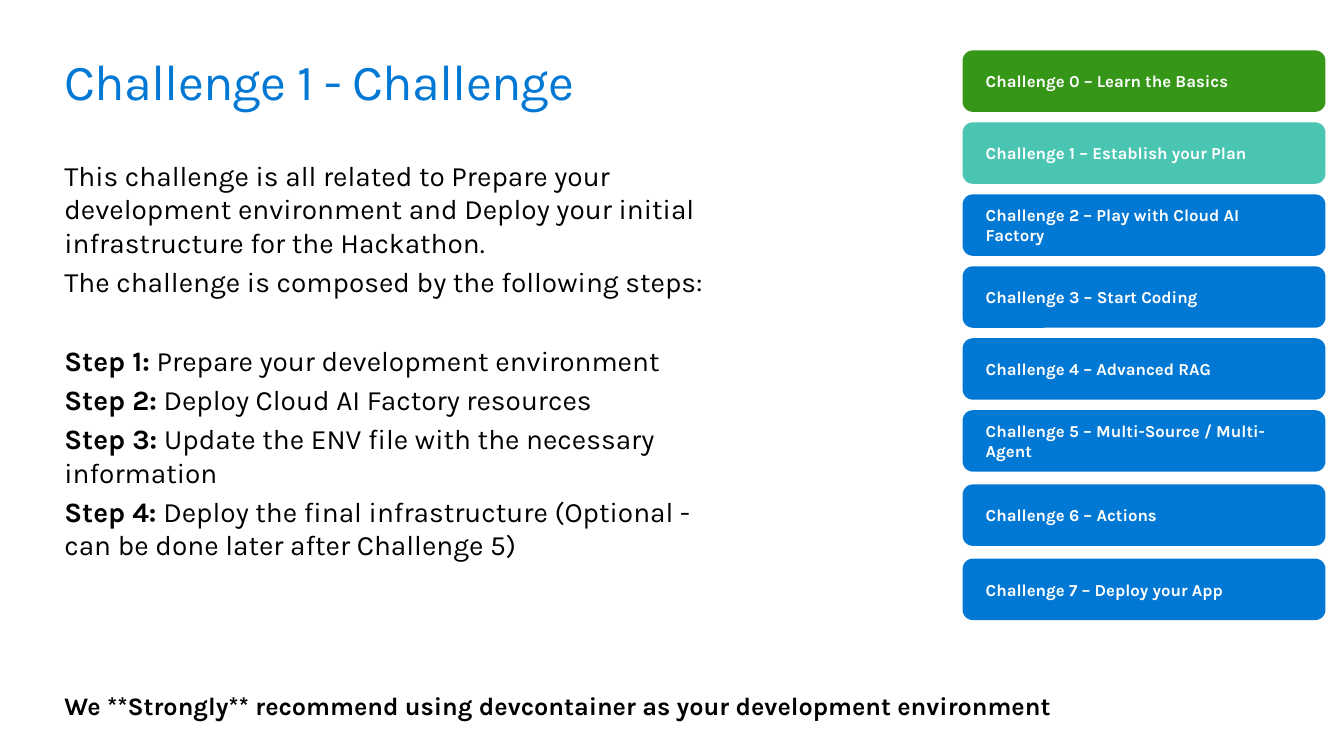
from pptx import Presentation
from pptx.dml.color import RGBColor
from pptx.enum.shapes import MSO_SHAPE
from pptx.enum.text import MSO_ANCHOR, PP_ALIGN
from pptx.util import Pt

ROUND = MSO_SHAPE.ROUNDED_RECTANGLE
MIDDLE, TOP = MSO_ANCHOR.MIDDLE, MSO_ANCHOR.TOP
LEFT = PP_ALIGN.LEFT

COLORS = {
    "blue": "0078D4",
    "green": "359617",
    "teal": "49C5B1",
    "black": "000000",
    "white": "FFFFFF",
}
FACE = "Karla"
GAP = 4  # space between paragraphs
BREAK = 32  # space ahead of the steps

INTRO = [
    "This challenge is all related to Prepare your development environment "
    "and Deploy your initial infrastructure for the Hackathon.",
    "The challenge is composed by the following steps:",
]
STEPS = [
    "Prepare your development environment",
    "Deploy Cloud AI Factory resources",
    "Update the ENV file with the necessary information",
    "Deploy the final infrastructure (Optional - can be done later "
    "after Challenge 5)",
]
STAGES = [
    "Learn the Basics",
    "Establish your Plan",
    "Play with Cloud AI Factory",
    "Start Coding",
    "Advanced RAG",
    "Multi-Source / Multi-Agent",
    "Actions",
    "Deploy your App",
]


def color(name):
    return RGBColor.from_string(COLORS[name])


class Deck:
    def __init__(self):
        self.show = Presentation()
        self.show.slide_width, self.show.slide_height = Pt(960), Pt(540)
        self.slide = self.show.slides.add_slide(self.show.slide_layouts[6])

    def fill(self, frame, paras, size, hue, pad=(0, 0), anchor=TOP, track=0):
        """Fill a frame; each paragraph is (space before, [(text, bold)])."""
        side, edge = (Pt(n) for n in pad)
        form = {
            "word_wrap": True,
            "vertical_anchor": anchor,
            "margin_left": side,
            "margin_right": side,
            "margin_top": edge,
            "margin_bottom": edge,
        }
        for key, value in form.items():
            setattr(frame, key, value)
        for i, (space, runs) in enumerate(paras):
            para = frame.add_paragraph() if i else frame.paragraphs[0]
            para.alignment = LEFT
            para.space_before = Pt(space)
            for text, bold in runs:
                run = para.add_run()
                run.text = text
                font = {"name": FACE, "size": Pt(size), "bold": bold}
                for key, value in font.items():
                    setattr(run.font, key, value)
                run.font.color.rgb = color(hue)
                if track:
                    run._r.get_or_add_rPr().set("spc", str(track))

    def text(self, area, paras, size, hue, **form):
        box = self.slide.shapes.add_textbox(*(Pt(n) for n in area))
        self.fill(box.text_frame, paras, size, hue, **form)

    def card(self, area, label, hue):
        shape = self.slide.shapes.add_shape(ROUND, *(Pt(n) for n in area))
        shape.shadow.inherit = False
        shape.fill.solid()
        shape.fill.fore_color.rgb = color(hue)
        shape.line.fill.background()
        self.fill(shape.text_frame, [(0, [(label, True)])], 12, "white",
                  pad=(14.4, 11.5), anchor=MIDDLE)


def main():
    deck = Deck()
    deck.text((46, 36, 868, 44), [(0, [("Challenge 1 - Challenge", False)])],
              36, "blue", track=-50)

    body = [(GAP if i else 0, [(line, False)]) for i, line in enumerate(INTRO)]
    for i, step in enumerate(STEPS):
        runs = [(f"Step {i + 1}:", True), (f" {step}", False)]
        body.append((GAP if i else BREAK, runs))
    deck.text((46, 113, 460, 296), body, 20, "black")

    note = ("We **Strongly** recommend using devcontainer as your "
            "development environment")
    deck.text((39, 489.6, 736, 29), [(0, [(note, True)])], 18, "black",
              pad=(7.2, 3.6))

    hues = {0: "green", 1: "teal"}
    for i, stage in enumerate(STAGES):
        top = 36 + 51.4 * min(i, 5) + 53 * max(i - 5, 0)
        deck.card((687.6, top, 259.2, 43.9), f"Challenge {i} – {stage}",
                  hues.get(i, "blue"))
    deck.show.save("out.pptx")


if __name__ == "__main__":
    main()
